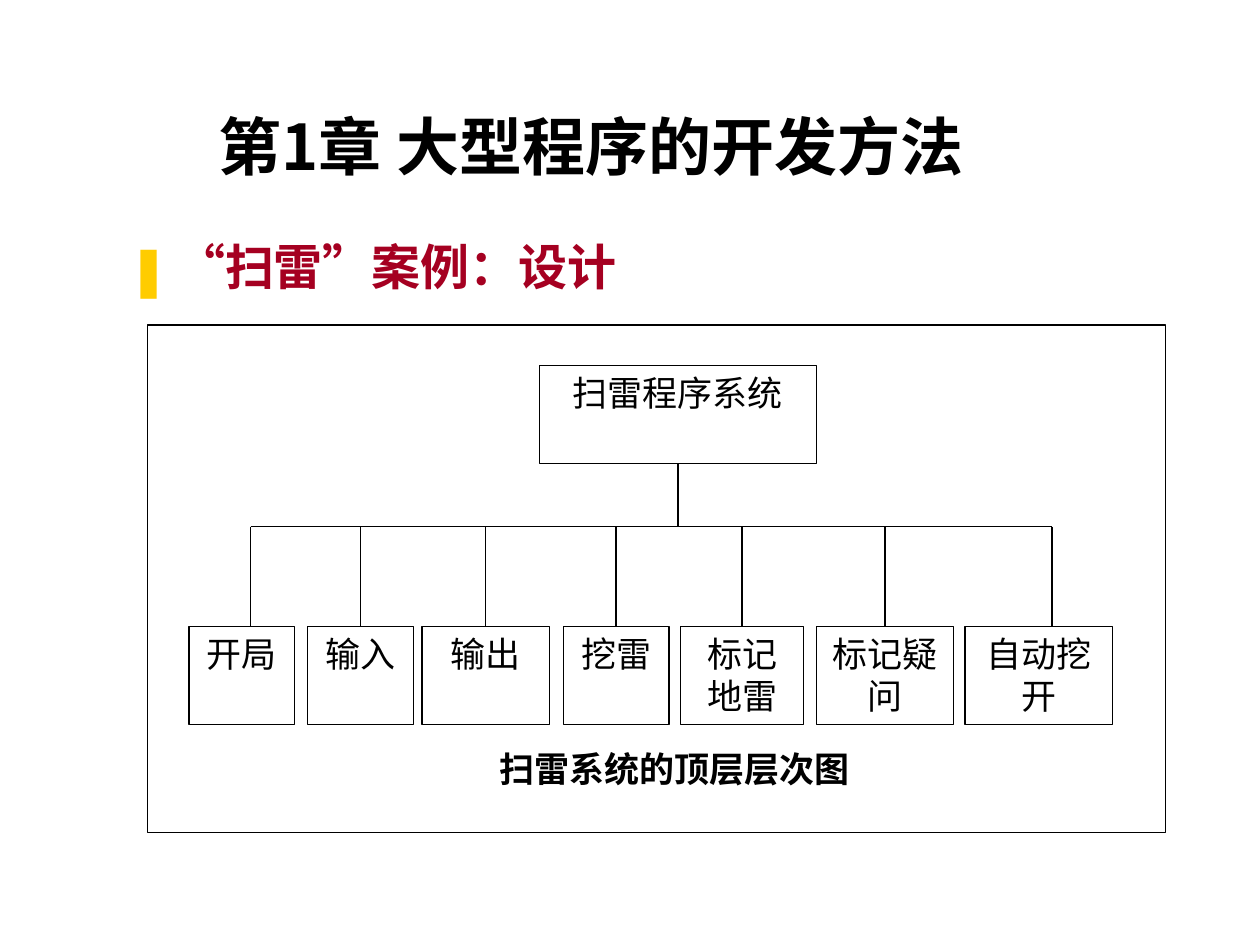
from lxml.etree import SubElement
from pptx import Presentation
from pptx.dml.color import RGBColor
from pptx.enum.lang import MSO_LANGUAGE_ID
from pptx.enum.shapes import MSO_CONNECTOR, MSO_SHAPE
from pptx.enum.text import MSO_ANCHOR, PP_ALIGN
from pptx.oxml.ns import qn
from pptx.util import Inches, Pt

TITLE = "第1章 大型程序的开发方法"
HEADING = "“扫雷”案例：设计"
ROOT = "扫雷程序系统"
CAPTION = "扫雷系统的顶层层次图"
MODULES = [
    ("开局", 1.5, 0.84),
    ("输入", 2.44, 0.84),
    ("输出", 3.35, 1.01),
    ("挖雷", 4.47, 0.84),
    ("标记地雷", 5.4, 0.98),
    ("标记疑问", 6.48, 1.09),
    ("自动挖开", 7.66, 1.17),
]
LATIN, CHINESE = "Times New Roman", "Noto Sans CJK SC"
BLACK, WHITE, RED, YELLOW = "000000", "FFFFFF", "A50021", "FFCC00"
ROOT_LEFT, ROOT_TOP, ROOT_WIDTH = 4.28, 2.9, 2.2
BOX_HEIGHT, BUS_TOP, MODULE_TOP = 0.78, 4.18, 4.97


def color(value):
    return RGBColor.from_string(value)


def write(shape, text, size, latin=LATIN, ink=BLACK, bold=False,
          align=PP_ALIGN.CENTER, anchor=MSO_ANCHOR.TOP):
    frame = shape.text_frame
    frame.text = text
    frame.word_wrap = True
    frame.vertical_anchor = anchor
    para = frame.paragraphs[0]
    para.alignment = align
    span = para.runs[0]
    span.font.name, span.font.size, span.font.bold = latin, Pt(size), bold
    span.font.color.rgb = color(ink)
    span.font.language_id = MSO_LANGUAGE_ID.SIMPLIFIED_CHINESE
    SubElement(span.font._element, qn("a:ea"), typeface=CHINESE)
    return para


def add_text(page, area, text, size, **style):
    box = page.shapes.add_textbox(*map(Inches, area))
    return write(box, text, size, **style)


def add_box(page, area, text=None):
    box = page.shapes.add_shape(MSO_SHAPE.RECTANGLE, *map(Inches, area))
    box.shadow.inherit = False
    box.line.color.rgb = color(BLACK)
    box.line.width = Pt(0.75)
    if text:
        box.fill.solid()
        box.fill.fore_color.rgb = color(WHITE)
        write(box, text, 20)
    else:
        box.fill.background()


def add_line(page, *ends):
    line = page.shapes.add_connector(MSO_CONNECTOR.STRAIGHT, *map(Inches, ends))
    line.line.color.rgb = color(BLACK)
    line.line.width = Pt(0.75)
    SubElement(line._element.spPr, qn("a:effectLst"))


def add_bullet(para, mark, ink):
    properties = para._p.get_or_add_pPr()
    properties.set("marL", str(Inches(0.38)))
    properties.set("indent", str(-Inches(0.38)))
    bullet_color = SubElement(properties, qn("a:buClr"))
    SubElement(bullet_color, qn("a:srgbClr"), val=ink)
    SubElement(properties, qn("a:buFont"), typeface=CHINESE)
    SubElement(properties, qn("a:buChar"), char=mark)


def main():
    """Build the slide with the top-level hierarchy chart."""
    deck = Presentation()
    deck.slide_width, deck.slide_height = Inches(10), Inches(7.5)
    page = deck.slides.add_slide(deck.slide_layouts[5])

    title = page.shapes.title
    title.left, title.top, title.width, title.height = map(
        Inches, (0.44, 0.25, 8.5, 1.25))
    write(title, TITLE, 36, latin=CHINESE, bold=True, anchor=MSO_ANCHOR.BOTTOM)
    heading = add_text(page, (0.92, 1.83, 8.83, 0.69), HEADING, 28,
                       ink=RED, bold=True, align=PP_ALIGN.JUSTIFY)
    add_bullet(heading, "❚", YELLOW)

    add_box(page, (1.17, 2.58, 8.08, 4.03))
    add_box(page, (ROOT_LEFT, ROOT_TOP, ROOT_WIDTH, BOX_HEIGHT), ROOT)
    root_center = ROOT_LEFT + ROOT_WIDTH / 2
    add_line(page, root_center, ROOT_TOP + BOX_HEIGHT, root_center, BUS_TOP)

    centers = [left + width / 2 for _, left, width in MODULES]
    centers[0] = 1.99
    centers[-1] = 8.35
    add_line(page, centers[0], BUS_TOP, centers[-1], BUS_TOP)
    for (name, left, width), center in zip(MODULES, centers):
        add_box(page, (left, MODULE_TOP, width, BOX_HEIGHT), name)
        add_line(page, center, BUS_TOP, center, MODULE_TOP)

    add_text(page, (3.76, 5.88, 3.19, BOX_HEIGHT), CAPTION, 20, bold=True)
    deck.save("out.pptx")


if __name__ == "__main__":
    main()
